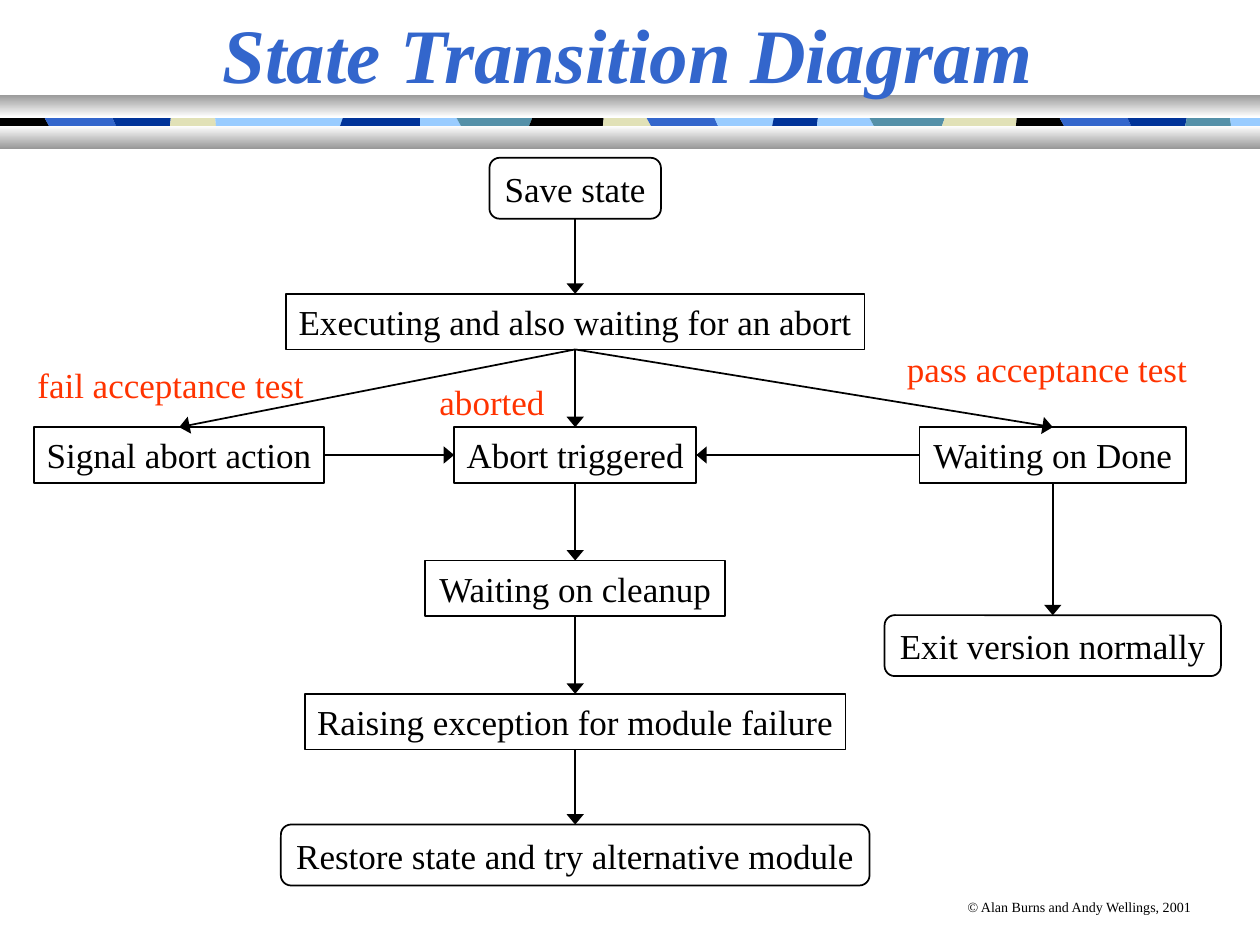
from itertools import pairwise

from lxml import etree
from pptx import Presentation
from pptx import util as u
from pptx.dml.color import RGBColor
from pptx.enum import shapes, text
from pptx.oxml import ns

Pt = u.Pt
FONT = "Times New Roman"
BLACK = RGBColor(0x00, 0x00, 0x00)
WHITE = RGBColor(0xFF, 0xFF, 0xFF)
GREY = RGBColor(0x98, 0x98, 0x98)
BLUE = RGBColor(0x33, 0x66, 0xCC)
NAVY = RGBColor(0x00, 0x33, 0x99)
SKY = RGBColor(0x99, 0xCC, 0xFF)
TEAL = RGBColor(0x54, 0x90, 0xA8)
CREAM = RGBColor(0xE1, 0xE1, 0xB7)
RED = RGBColor(0xFF, 0x33, 0x00)

RECTANGLE = shapes.MSO_SHAPE.RECTANGLE
ROUNDED = shapes.MSO_SHAPE.FLOWCHART_ALTERNATE_PROCESS
TOP, LEFT, BOTTOM, RIGHT = range(4)

BAND_TOP, BAND_MIDDLE, BAND_BOTTOM = 61.2, 69.4, 81.4
BAND_EDGES = [
    (0, 0, BLACK), (26.6, 0.55, BLUE), (65.2, 0.45, NAVY), (97.4, -0.1, CREAM),
    (123.2, 0.1, SKY), (195.2, -0.35, NAVY), (240, 0, SKY), (262, 0.55, TEAL),
    (303.4, -0.4, BLACK), (344.8, -0.1, CREAM), (370.6, 0.55, BLUE),
    (409.2, 0.45, SKY), (441.8, -0.2, NAVY), (467.2, -0.1, SKY),
    (498, 0.55, TEAL), (539.2, -0.35, CREAM), (580.8, -0.1, BLACK),
    (606.6, 0.55, BLUE), (645.2, 0.45, NAVY), (677.8, -0.2, TEAL),
    (703.2, 0.1, SKY), (720, 0, None),
]

LEFT_COLUMN, MIDDLE_COLUMN, RIGHT_COLUMN = 102.4, 328.7, 601.6
FIRST_ROW, ROW_PITCH = 107.6, 76.2
STATES = {
    "Save state": (MIDDLE_COLUMN, 0, 98, ROUNDED),
    "Executing and also waiting for an abort": (MIDDLE_COLUMN, 1, 330.6, RECTANGLE),
    "Signal abort action": (LEFT_COLUMN, 2, 165.6, RECTANGLE),
    "Abort triggered": (MIDDLE_COLUMN, 2, 138.4, RECTANGLE),
    "Waiting on Done": (RIGHT_COLUMN, 2, 152.4, RECTANGLE),
    "Waiting on cleanup": (MIDDLE_COLUMN, 3, 171.4, RECTANGLE),
    "Exit version normally": (RIGHT_COLUMN, 3.43, 192.2, ROUNDED),
    "Raising exception for module failure": (MIDDLE_COLUMN, 4, 309, RECTANGLE),
    "Restore state and try alternative module": (MIDDLE_COLUMN, 5, 336.4, ROUNDED),
}
TRANSITIONS = [
    ("Save state", BOTTOM, "Executing and also waiting for an abort", TOP),
    ("Executing and also waiting for an abort", BOTTOM, "Abort triggered", TOP),
    ("Executing and also waiting for an abort", BOTTOM, "Signal abort action", TOP),
    ("Executing and also waiting for an abort", BOTTOM, "Waiting on Done", TOP),
    ("Signal abort action", RIGHT, "Abort triggered", LEFT),
    ("Waiting on Done", LEFT, "Abort triggered", RIGHT),
    ("Abort triggered", BOTTOM, "Waiting on cleanup", TOP),
    ("Waiting on cleanup", BOTTOM, "Raising exception for module failure", TOP),
    ("Raising exception for module failure", BOTTOM,
     "Restore state and try alternative module", TOP),
    ("Waiting on Done", BOTTOM, "Exit version normally", TOP),
]
LABELS = [
    ("fail acceptance test", 14.4, 203.8, 166.3),
    ("aborted", 244.1, 213.8, 74.2),
    ("pass acceptance test", 511.2, 194.4, 174.2),
]


def write_text(shape, content, size, color, align=text.PP_ALIGN.CENTER):
    """Write one unwrapped, vertically centred run into a shape."""
    frame = shape.text_frame
    frame.word_wrap = False
    frame.auto_size = text.MSO_AUTO_SIZE.NONE
    frame.vertical_anchor = text.MSO_ANCHOR.MIDDLE
    paragraph = frame.paragraphs[0]
    paragraph.alignment = align
    run = paragraph.add_run()
    run.text = content
    run.font.name = FONT
    run.font.size = Pt(size)
    run.font.color.rgb = color
    return run


def add_band(slide):
    """Draw the row of coloured slanted pieces."""
    for (left, left_slope, color), (right, right_slope, _) in pairwise(BAND_EDGES):
        up, down = BAND_TOP - BAND_MIDDLE, BAND_BOTTOM - BAND_MIDDLE
        corners = [
            (left + left_slope * up, BAND_TOP), (right + right_slope * up, BAND_TOP),
            (right + right_slope * down, BAND_BOTTOM),
            (left + left_slope * down, BAND_BOTTOM),
        ]
        points = [(Pt(x), Pt(y)) for x, y in corners]
        builder = slide.shapes.build_freeform(*points[0])
        builder.add_line_segments(points[1:], close=True)
        shape = builder.convert_to_shape()
        shape.shadow.inherit = False
        shape.fill.solid()
        shape.fill.fore_color.rgb = color
        shape.line.fill.background()


def add_gradient_bar(slide, top, colors):
    """Draw a full-width bar shaded from top to bottom."""
    shape = slide.shapes.add_shape(RECTANGLE, 0, Pt(top), Pt(720), Pt(13))
    shape.shadow.inherit = False
    shape.line.fill.background()
    shape.fill.gradient()
    shape.fill.gradient_angle = 270
    for stop, color in zip(shape.fill.gradient_stops, colors):
        stop.color.rgb = color


def add_title(slide):
    """Fill the title placeholder and bring it in front of the band."""
    title = slide.shapes.title
    title.left, title.top, title.width, title.height = 0, 0, Pt(718), Pt(60)
    run = write_text(title, "State Transition Diagram", 44, BLUE)
    title.text_frame.word_wrap = True
    run.font.bold = run.font.italic = True
    title.element.getparent().append(title.element)


def add_state(slide, name, center, row, width, kind):
    """Draw one outlined state centred on its column and row."""
    height = 34.8 if kind == ROUNDED else 31.8
    top = FIRST_ROW + row * ROW_PITCH - height / 2
    shape = slide.shapes.add_shape(
        kind, Pt(center - width / 2), Pt(top), Pt(width), Pt(height))
    shape.shadow.inherit = False
    shape.fill.background()
    shape.line.color.rgb = BLACK
    shape.line.width = Pt(1)
    write_text(shape, name, 20, BLACK)
    return shape


def add_transition(slide, source, source_side, target, target_side):
    """Join two states with an arrow."""
    arrow = slide.shapes.add_connector(shapes.MSO_CONNECTOR.STRAIGHT, 0, 0, 0, 0)
    arrow.begin_connect(source, source_side)
    arrow.end_connect(target, target_side)
    arrow.line.color.rgb = BLACK
    arrow.line.width = Pt(1)
    properties = arrow.element.spPr
    etree.SubElement(properties.find(ns.qn("a:ln")), ns.qn("a:tailEnd"),
                     type="triangle", w="lg", len="med")
    etree.SubElement(properties, ns.qn("a:effectLst"))


def add_label(slide, content, left, top, width, height=31.8, size=20, color=RED,
              align=text.PP_ALIGN.CENTER):
    """Place a free-standing line of text."""
    box = slide.shapes.add_textbox(Pt(left), Pt(top), Pt(width), Pt(height))
    write_text(box, content, size, color, align)


def main():
    """Build and save the slide."""
    presentation = Presentation()
    presentation.slide_width, presentation.slide_height = Pt(720), Pt(540)
    slide = presentation.slides.add_slide(presentation.slide_layouts[5])
    add_band(slide)
    add_gradient_bar(slide, 54, (GREY, WHITE))
    add_gradient_bar(slide, 72, (WHITE, GREY))
    add_label(slide, "© Alan Burns and Andy Wellings, 2001", 545.8, 509.8, 144,
              17.3, 8, BLACK, text.PP_ALIGN.LEFT)
    add_title(slide)
    states = {name: add_state(slide, name, *place) for name, place in STATES.items()}
    for source, source_side, target, target_side in TRANSITIONS:
        add_transition(slide, states[source], source_side, states[target], target_side)
    for label in LABELS:
        add_label(slide, *label)
    presentation.save("out.pptx")


if __name__ == "__main__":
    main()
